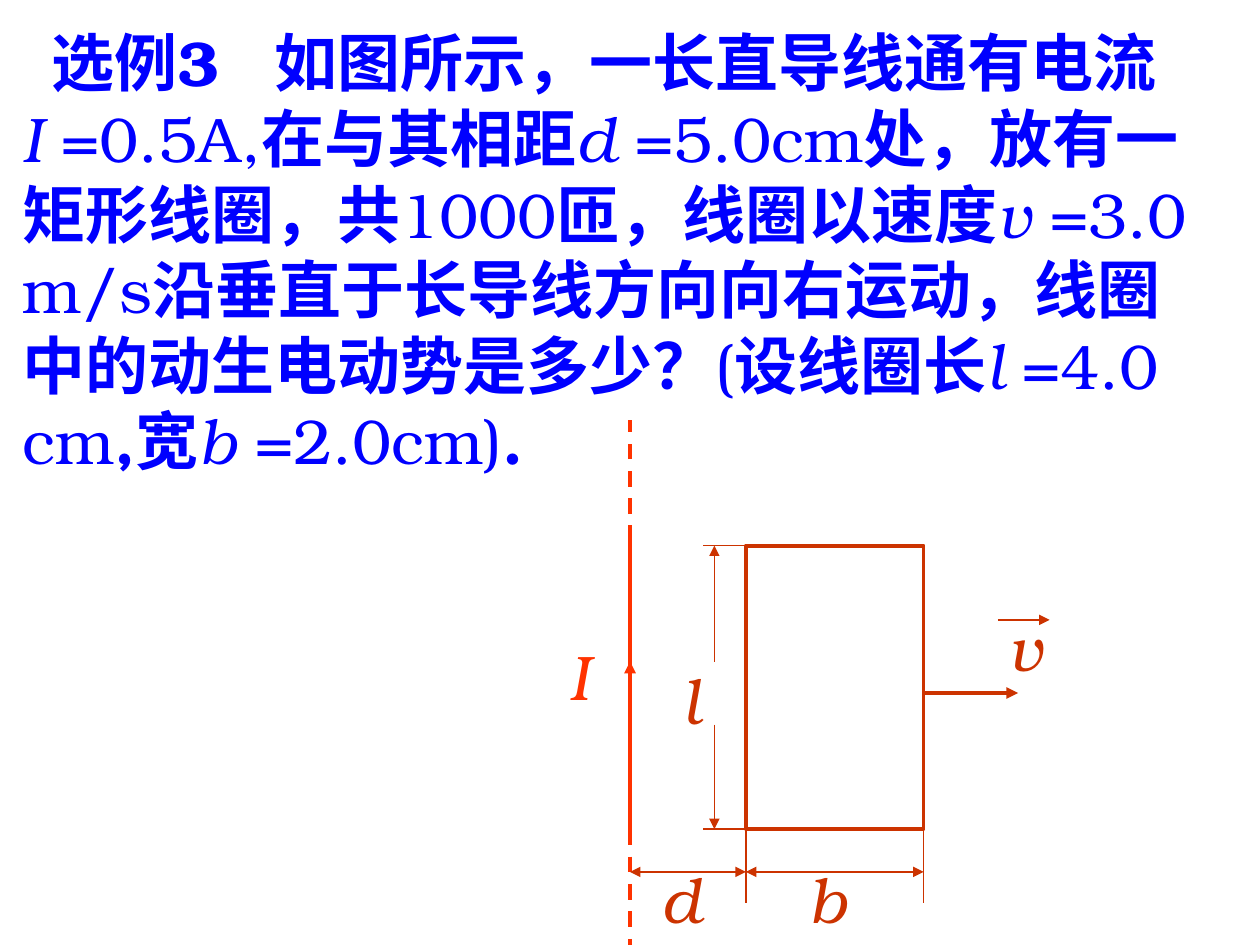
import pptx
import pptx.dml.color
import pptx.enum.dml
import pptx.enum.shapes
import pptx.enum.text
import pptx.oxml
import pptx.oxml.ns
import pptx.util

Inches = pptx.util.Inches
BLUE, RED, RUST = "0000FF", "FF3300", "CC3300"
THICK, THIN = 2.25, 0.75


def color(value):
    return pptx.dml.color.RGBColor.from_string(value)


def element(tag, **attributes):
    node = pptx.oxml.parse_xml(f"<a:{tag} {pptx.oxml.ns.nsdecls('a')}/>")
    for name, value in attributes.items():
        node.set(name, str(value))
    return node


class SlideBuilder:
    font_name = "TeX Gyre Bonum"
    font_size = 36

    def __init__(self, slide):
        self.slide = slide

    def text(self, left, top, width, height, lines, ink, insets=(0, 0), wrap=False):
        """Each line is a list of (text, style); style is "b", "i" or ""."""
        shape = self.slide.shapes.add_textbox(*map(Inches, (left, top, width, height)))
        frame = shape.text_frame
        frame.word_wrap = wrap
        frame.auto_size = pptx.enum.text.MSO_AUTO_SIZE.SHAPE_TO_FIT_TEXT
        frame.margin_left = frame.margin_right = Inches(insets[0])
        frame.margin_top = frame.margin_bottom = Inches(insets[1])
        for index, line in enumerate(lines):
            paragraph = frame.add_paragraph() if index else frame.paragraphs[0]
            for content, style in line:
                run = paragraph.add_run()
                run.text = content
                run.font.name = self.font_name
                run.font.size = pptx.util.Pt(self.font_size)
                run.font.bold = style == "b"
                run.font.italic = style == "i"
                run.font.color.rgb = color(ink)
        return frame

    def line(self, start, end, ink=RUST, width=THIN, dashed=False, head=False, tail=False):
        connector = self.slide.shapes.add_connector(
            pptx.enum.shapes.MSO_CONNECTOR.STRAIGHT, *map(Inches, start + end))
        connector.line.color.rgb = color(ink)
        connector.line.width = pptx.util.Pt(width)
        if dashed:
            connector.line.dash_style = pptx.enum.dml.MSO_LINE.DASH
        outline = connector.line._get_or_add_ln()
        for tag, wanted in (("headEnd", head), ("tailEnd", tail)):
            if wanted:
                outline.append(element(tag, type="triangle"))
        connector._element.spPr.append(element("effectLst"))

    def rectangle(self, left, top, right, bottom, ink):
        shape = self.slide.shapes.add_shape(
            pptx.enum.shapes.MSO_SHAPE.RECTANGLE,
            *map(Inches, (left, top, right - left, bottom - top)))
        shape.shadow.inherit = False
        shape.fill.background()
        shape.line.color.rgb = color(ink)
        shape.line.width = pptx.util.Pt(THICK)


def main():
    presentation = pptx.Presentation()
    presentation.slide_width, presentation.slide_height = Inches(10), Inches(7.5)
    builder = SlideBuilder(presentation.slides.add_slide(presentation.slide_layouts[6]))

    # Problem statement
    problem = [
        [("选例3\t如图所示，一长直导线通有电流", "b")],
        [("I ", "i"), ("=0.5A,", ""), ("在与其相距", "b"), ("d ", "i"),
         ("=5.0cm", ""), ("处，放有一", "b")],
        [("矩形线圈，共", "b"), ("1000", ""), ("匝，线圈以速度", "b"),
         ("v ", "i"), ("=3.0", "")],
        [("m/s", ""), ("沿垂直于长导线方向向右运动，线圈", "b")],
        [("中的动生电动势是多少？", "b"), ("(", ""), ("设线圈长", "b"),
         ("l ", "i"), ("=4.0", "")],
        [("cm", ""), (",宽", "b"), ("b ", "i"), ("=2.0cm)", ""), (".", "b")],
    ]
    frame = builder.text(0.08, 0.14, 9.8, 3.7, problem, BLUE, (0.1, 0.05))
    # First line: indent and a tab stop after the example number
    properties = frame.paragraphs[0]._p.get_or_add_pPr()
    properties.set("marL", "0")
    properties.set("indent", str(Inches(0.23)))
    tabs = element("tabLst")
    tabs.append(element("tab", pos=Inches(2.13), algn="l"))
    properties.append(tabs)

    # Symbols in the diagram
    current = builder.text(4.42, 5.08, 0.46, 0.64, [[("I", "i")]], RED, (0.1, 0.05), True)
    current.paragraphs[0].line_spacing = 0.9
    for symbol, left, top, width in (("v", 8, 4.83, 0.27), ("l", 5.42, 5.25, 0.21),
                                     ("b", 6.42, 6.83, 0.3), ("d", 5.25, 6.83, 0.32)):
        builder.text(left, top, width, 0.6, [[(symbol, "i")]], RUST)

    # Long straight wire with its current arrow
    wire = 5
    left, top, right, bottom = 5.92, 4.33, 7.33, 6.58
    builder.line((wire, 4.17), (wire, bottom), RED, THICK)
    builder.line((wire, 5.25), (wire, 5.75), RED, THICK, head=True)
    builder.line((wire, bottom), (wire, 7.5), RED, THICK, dashed=True)
    builder.line((wire, 4.08), (wire, 3.33), RED, THICK, dashed=True)

    # Coil and its velocity
    builder.rectangle(left, top, right, bottom, RUST)
    builder.line((right, 5.5), (8.08, 5.5), width=THICK, tail=True)
    builder.line((7.92, 4.92), (8.33, 4.92), tail=True)

    # Length dimension
    for edge, gap in ((top, 5.25), (bottom, 5.75)):
        builder.line((5.58, edge), (left, edge))
        builder.line((5.67, gap), (5.67, edge), tail=True)

    # Distance and width dimensions
    for side in (left, right):
        builder.line((side, bottom), (side, 7.17))
    for start, end in ((wire, left), (left, right)):
        builder.line((start, 6.92), (end, 6.92), head=True, tail=True)

    presentation.save("out.pptx")


if __name__ == "__main__":
    main()
